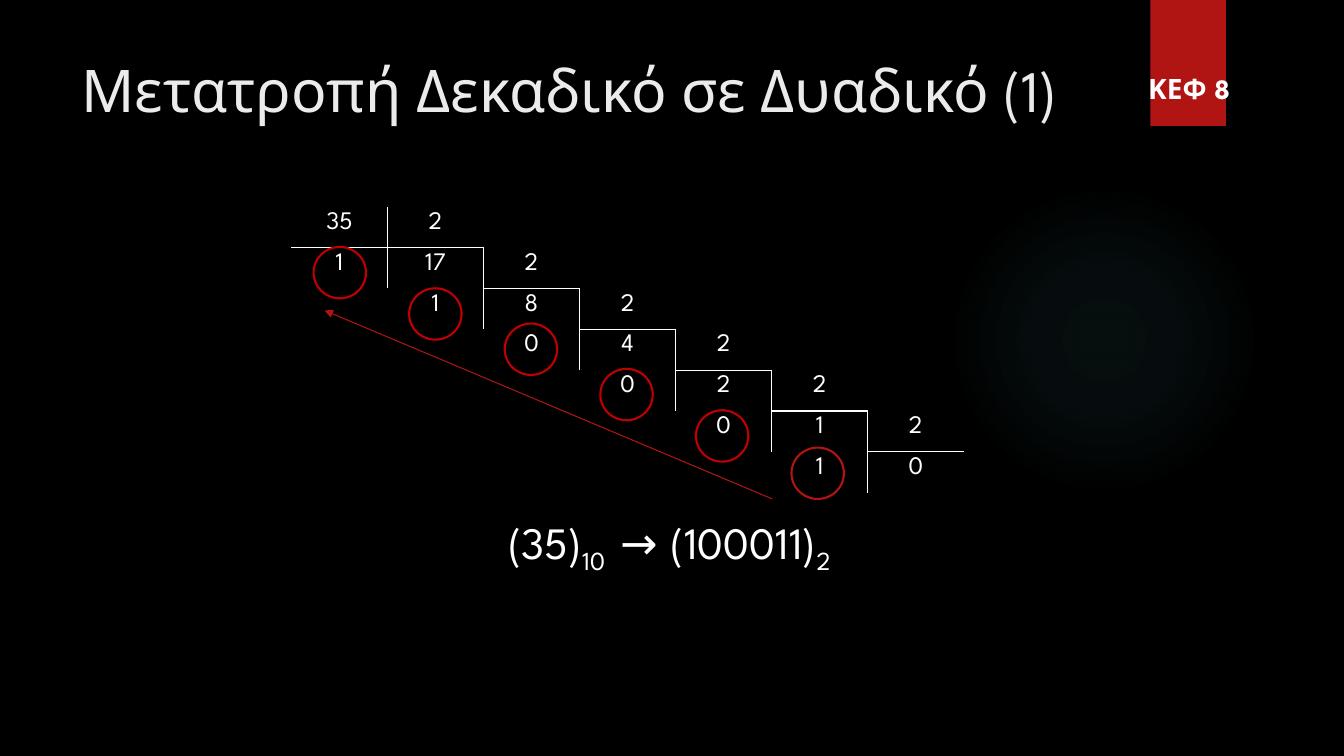
from pptx import Presentation
from pptx.dml.color import RGBColor
from pptx.enum.shapes import MSO_CONNECTOR as CONN, MSO_SHAPE as SHAPE
from pptx.enum.text import MSO_ANCHOR as ANCHOR, MSO_AUTO_SIZE as AUTO, PP_ALIGN as ALIGN
from pptx.oxml import parse_xml
from pptx.oxml.ns import nsdecls, qn
from pptx.util import Inches, Pt
from lxml import etree

# Content
TITLE = "Μετατροπή Δεκαδικό σε Δυαδικό (1)"
CHAPTER = "ΚΕΦ 8"
NUMBER, BASE, STEPS = 35, 2, 6
RESULT = [("(35)", False), ("10\t", True), (" →\t (100011)", False), ("2", True)]

# Look
FONT = "League Spartan"
WHITE, RED, DARK_RED = "FFFFFF", "B01513", "C00000"
TITLE_FONT = {"size": Pt(42), "color": "EBEBEB", "bold": False}
CHAPTER_FONT = {"size": Pt(20), "color": WHITE, "bold": True}
CELL_FONT = {"size": Pt(18), "color": WHITE, "bold": False}
RESULT_FONT = {"size": Pt(32), "color": WHITE, "bold": False}
GLOW_STOPS = [(0, 7), (36, 6), (69, 0), (100, 0)]

# Layout in inches
TABLE_LEFT, TABLE_TOP, TABLE_W, TABLE_H = 2.89, 2.05, 6.67, 2.84
CIRCLE_W, CIRCLE_H = 0.52, 0.51
CIRCLE_TOPS = [2.45, 2.86, 3.21, 3.66, 4.07, 4.44]


def rgb(value):
    return RGBColor.from_string(value)


def box(*lengths):
    return [Inches(v) for v in lengths]


def add_run(p, text, look):
    r = p.add_run()
    r.text = text
    r.font.name = FONT
    for name, value in look.items():
        if name == "color":
            r.font.color.rgb = rgb(value)
        else:
            setattr(r.font, name, value)
    return r


def add_shape(kind, place, fill=None, line=None):
    sp = slide.shapes.add_shape(kind, *box(*place))
    sp.shadow.inherit = False
    if fill:
        sp.fill.solid()
        sp.fill.fore_color.rgb = rgb(fill)
    else:
        sp.fill.background()
    if line:
        sp.line.color.rgb = rgb(line)
        sp.line.width = Pt(1.5)
    else:
        sp.line.fill.background()
    return sp


def set_borders(cell, edges):
    tc_pr = cell._tc.get_or_add_tcPr()
    for i, edge in enumerate("LRTB"):
        paint = (f'<a:solidFill><a:srgbClr val="{WHITE}"/></a:solidFill>'
                 if edge in edges else "<a:noFill/>")
        tc_pr.insert(i, parse_xml(
            f'<a:ln{edge} {nsdecls("a")} w="12700">{paint}</a:ln{edge}>'))


prs = Presentation()
prs.slide_width, prs.slide_height = Inches(13.33), Inches(7.5)
slide = prs.slides.add_slide(prs.slide_layouts[5])
slide.background.fill.solid()
slide.background.fill.fore_color.rgb = rgb("000000")

# Faint glow and chapter ribbon
glow = add_shape(SHAPE.OVAL, (9.41, 1.83, 3.08, 3.08))
stops = "".join(
    f'<a:gs pos="{pos * 1000}"><a:srgbClr val="50B9C1">'
    f'<a:alpha val="{alpha * 1000}"/></a:srgbClr></a:gs>' for pos, alpha in GLOW_STOPS)
no_fill = glow._element.spPr.find(qn("a:noFill"))
no_fill.getparent().replace(no_fill, parse_xml(
    f'<a:gradFill {nsdecls("a")}><a:gsLst>{stops}</a:gsLst><a:path path="circle">'
    '<a:fillToRect l="50000" t="50000" r="50000" b="50000"/></a:path></a:gradFill>'))
add_shape(SHAPE.RECTANGLE, (11.41, 0, 0.75, 1.25), fill=RED)

# Title
title = slide.shapes.title
title.left, title.top, title.width, title.height = box(0.71, 0.5, 10.28, 0.76)
tf = title.text_frame
tf.auto_size, tf.vertical_anchor = AUTO.NONE, ANCHOR.MIDDLE
tf.paragraphs[0].alignment = ALIGN.LEFT
add_run(tf.paragraphs[0], TITLE, TITLE_FONT)

# Chapter label
tf = slide.shapes.add_textbox(*box(11.29, 0.66, 1.03, 0.43)).text_frame
tf.word_wrap = False
add_run(tf.paragraphs[0], CHAPTER, CHAPTER_FONT)

# Division staircase: each step goes one column right and one row down
size = STEPS + 1
texts = {(0, 0): NUMBER}
edges = {(0, 0): "B", (1, 0): "T"}
quotient = NUMBER
for i in range(STEPS):
    quotient, remainder = divmod(quotient, BASE)
    texts[i, i + 1] = BASE
    texts[i + 1, i] = remainder
    texts[i + 1, i + 1] = quotient
    for key, sides in (((i, i), "R"), ((i, i + 1), "LB"),
                       ((i + 1, i), "R"), ((i + 1, i + 1), "LT")):
        edges[key] = edges.get(key, "") + sides

table = slide.shapes.add_table(
    size, size, *box(TABLE_LEFT, TABLE_TOP, TABLE_W, TABLE_H)).table
table.first_row = table.horz_banding = False
for row in range(size):
    for col in range(size):
        cell = table.cell(row, col)
        cell.fill.background()
        cell.margin_bottom = 0
        set_borders(cell, edges.get((row, col), ""))
        p = cell.text_frame.paragraphs[0]
        p.alignment = ALIGN.CENTER
        if (row, col) in texts:
            add_run(p, str(texts[row, col]), CELL_FONT)

# Result
tf = slide.shapes.add_textbox(*box(2.14, 5.06, 9, 0.66)).text_frame
tf.word_wrap = True
p = tf.paragraphs[0]
p.alignment, p.space_before = ALIGN.CENTER, Pt(6.4)
for text, lowered in RESULT:
    r = add_run(p, text, RESULT_FONT)
    if lowered:
        r.font._element.set("baseline", "-25000")

# Circles around the remainders
for i, top in enumerate(CIRCLE_TOPS):
    add_shape(SHAPE.OVAL, (3.11 + 0.948 * i, top, CIRCLE_W, CIRCLE_H),
              line=RED if i == STEPS - 1 else DARK_RED)

# Reading direction, last remainder first
arrow = slide.shapes.add_connector(CONN.STRAIGHT, *box(7.66, 4.95, 3.22, 3.08))
arrow.line.color.rgb = rgb(RED)
arrow.line.width = Pt(0.75)
etree.SubElement(arrow.line._get_or_add_ln(), qn("a:tailEnd"), type="triangle")
etree.SubElement(arrow._element.spPr, qn("a:effectLst"))

prs.save("out.pptx")
